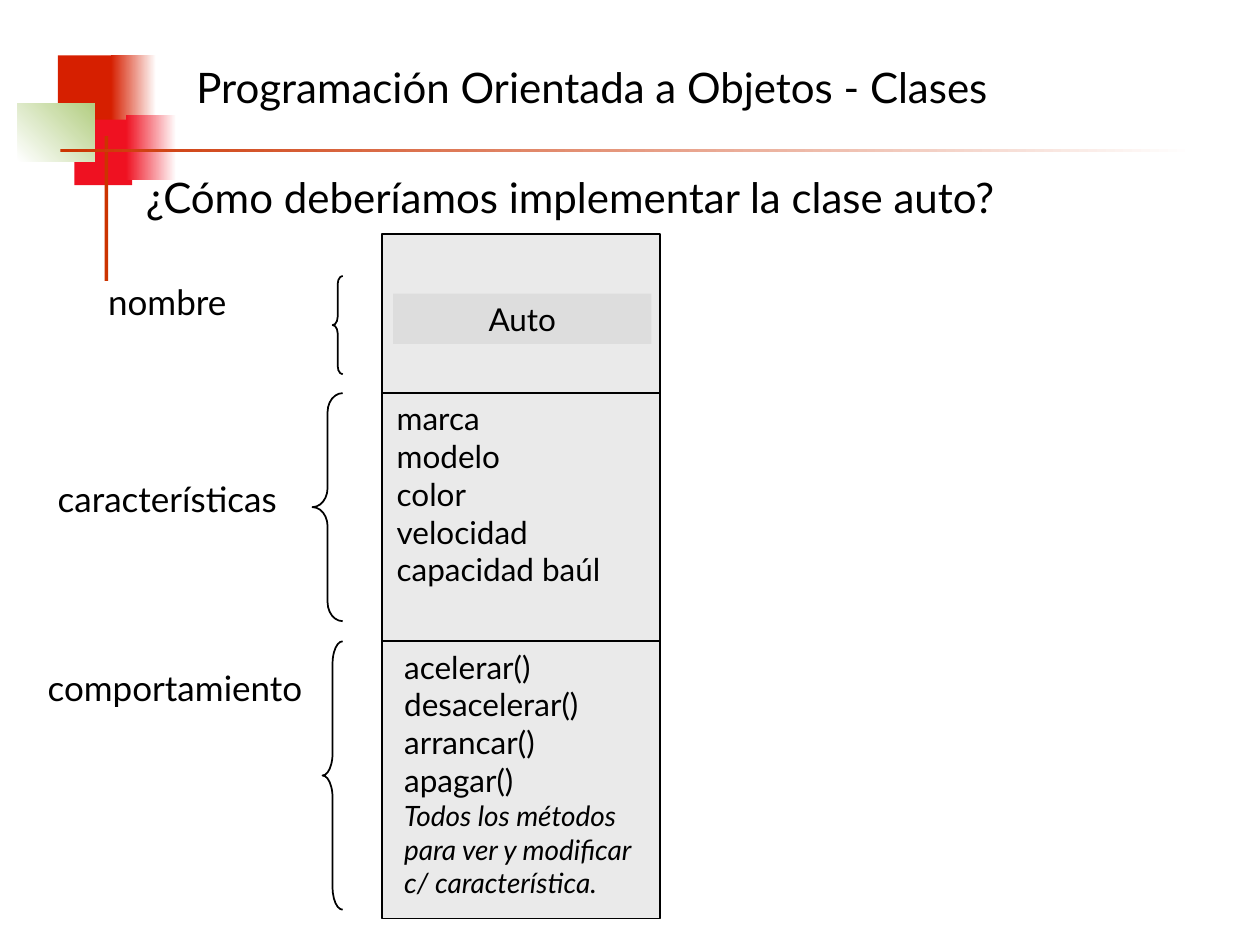
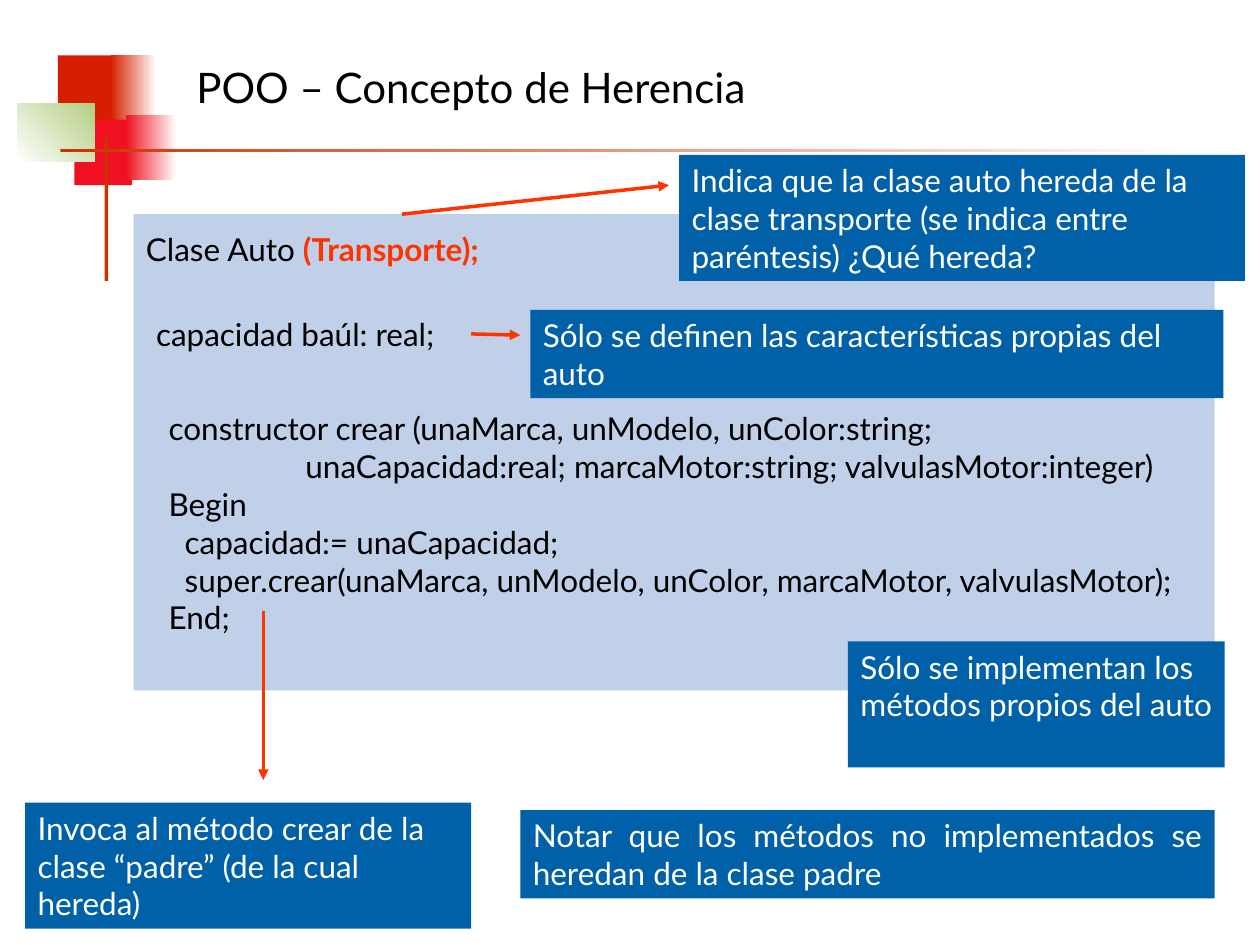
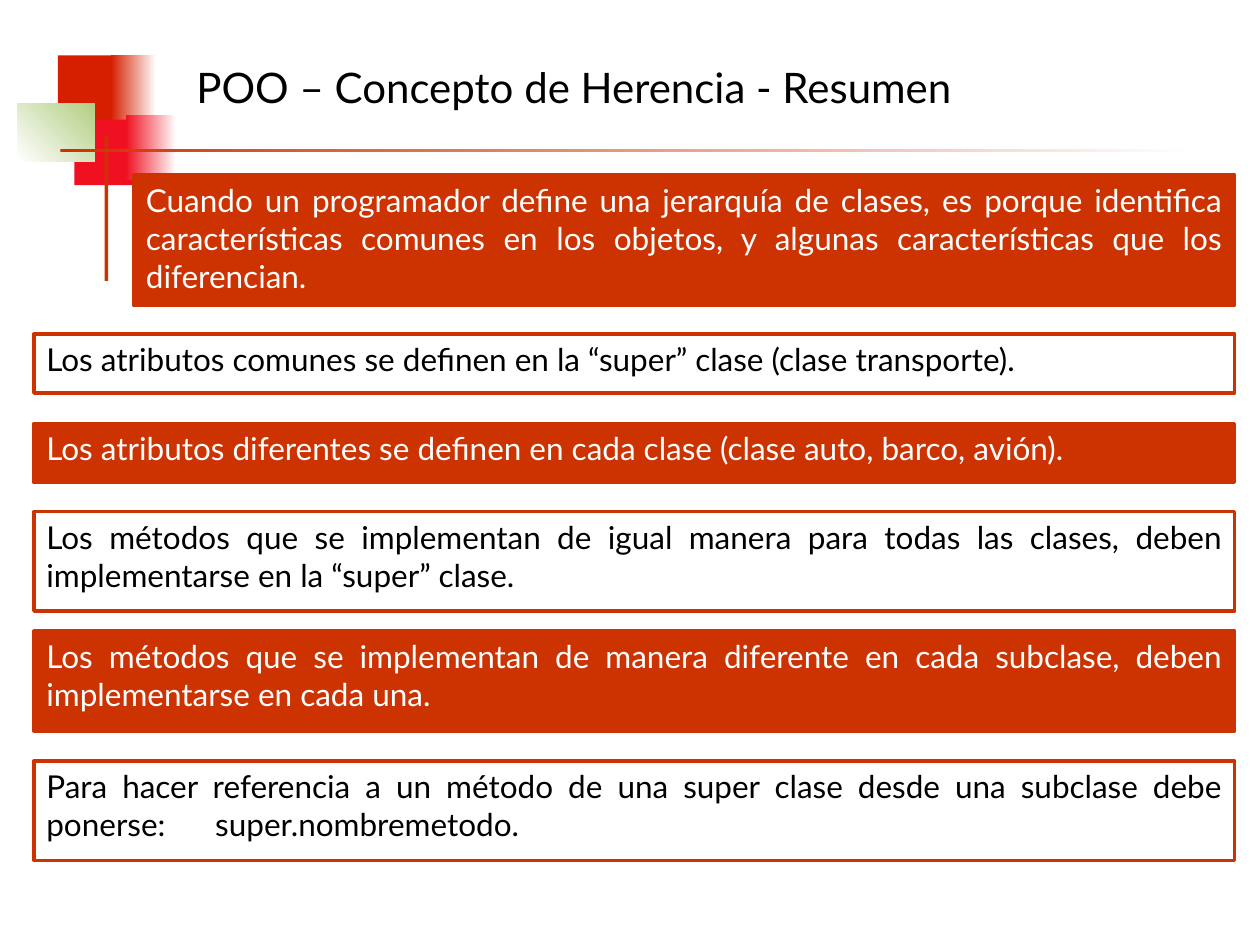
import dataclasses

import lxml.etree
import pptx
import pptx.dml.color
import pptx.enum.shapes
import pptx.enum.text
import pptx.oxml.ns
import pptx.util

SHAPE = pptx.enum.shapes.MSO_SHAPE
ALIGN = pptx.enum.text.PP_ALIGN
FONT = "Lato"
BLACK, WHITE = "000000", "FFFFFF"
SCARLET, CRIMSON, GREEN, RUST = "D61F00", "EF1121", "B3CE82", "CC3300"
ORANGE, BLUE, PALE_BLUE = "FF3300", "0060A8", "C1D0E9"
PALE_GRAY, GRAY = "EAEAEA", "DDDDDD"
COLUMNS, ROWS = 100, 75
CELL = pptx.util.Inches(10) / COLUMNS


@dataclasses.dataclass
class Box:
    left: float
    top: float
    width: float
    height: float

    def inner(self, left, top, width, height):
        return Box(self.left + left, self.top + top, width, height)

    def lengths(self):
        return [grid(value) for value in dataclasses.astuple(self)]


def grid(cells):
    return pptx.util.Emu(round(cells * CELL))


def rgb(color):
    return pptx.dml.color.RGBColor.from_string(color)


def add_shape(slide, box, fill=None, line=None, line_width=1, preset=SHAPE.RECTANGLE):
    shape = slide.shapes.add_shape(preset, *box.lengths())
    shape.shadow.inherit = False
    if fill:
        shape.fill.solid()
        shape.fill.fore_color.rgb = rgb(fill)
    else:
        shape.fill.background()
    if line:
        shape.line.color.rgb = rgb(line)
        shape.line.width = pptx.util.Pt(line_width)
    else:
        shape.line.fill.background()
    return shape


def add_fade(slide, box, start, end, angle=0):
    shape = add_shape(slide, box)
    shape.fill.gradient()
    shape.fill.gradient_angle = angle
    for stop, color in zip(shape.fill.gradient_stops, (start, end)):
        stop.color.rgb = rgb(color)
    return shape


def add_line(slide, start, end, color, width, arrow=False):
    points = [grid(value) for value in (*start, *end)]
    connector = slide.shapes.add_connector(
        pptx.enum.shapes.MSO_CONNECTOR.STRAIGHT, *points)
    connector.line.color.rgb = rgb(color)
    connector.line.width = pptx.util.Pt(width)
    properties = connector._element.spPr
    if arrow:
        tail = lxml.etree.SubElement(
            properties.find(pptx.oxml.ns.qn("a:ln")), pptx.oxml.ns.qn("a:tailEnd"))
        tail.set("type", "triangle")
    lxml.etree.SubElement(properties, pptx.oxml.ns.qn("a:effectLst"))


def write(shape, lines, size=18, color=BLACK, align=ALIGN.LEFT):
    frame = shape.text_frame
    frame.word_wrap = True
    frame.vertical_anchor = pptx.enum.text.MSO_ANCHOR.TOP
    for index, line in enumerate(lines):
        paragraph = frame.add_paragraph() if index else frame.paragraphs[0]
        paragraph.text = line
        paragraph.alignment = align
        paragraph.font.name = FONT
        paragraph.font.size = pptx.util.Pt(size)
        paragraph.font.color.rgb = rgb(color)
    return frame.paragraphs


def add_text(slide, box, lines, size=18):
    return write(slide.shapes.add_textbox(*box.lengths()), lines, size)


def add_decoration(slide, box):
    shapes = [
        add_shape(slide, box.inner(3.2, 0, 4.8, 5.2), SCARLET),
        add_fade(slide, box.inner(7.4, 0, 3.6, 5.2), SCARLET, WHITE),
        add_shape(slide, box.inner(4.5, 5.1, 4.6, 5.2), CRIMSON),
        add_fade(slide, box.inner(8.6, 4.7, 4, 5.2), CRIMSON, WHITE),
        add_fade(slide, box.inner(0, 3.8, 6.1, 4.6), WHITE, GREEN, 45),
        add_shape(slide, box.inner(6.9, 6.4, 0.3, 11.5), RUST),
        add_fade(slide, box.inner(3.4, 7.4, 90, 0.3), RUST, WHITE),
    ]
    for shape in shapes:
        slide.slide_layout.shapes.element.append(shape.element)


def add_titled_slide(presentation, title):
    slide = presentation.slides.add_slide(presentation.slide_layouts[6])
    add_text(slide, Box(14.6, 4.4, 73.2, 5), [title], 24)
    return slide


def add_class_diagram(slide, box):
    attributes_top, methods_top = 12.6, 32.3
    add_shape(slide, box, PALE_GRAY, BLACK)
    for top in (attributes_top, methods_top):
        add_line(slide, (box.left, box.top + top),
                 (box.left + box.width, box.top + top), BLACK, 1)
    name = add_shape(slide, box.inner(0.9, 4.7, 20.5, 4), GRAY)
    write(name, ["Auto"], align=ALIGN.CENTER)
    add_text(slide, box.inner(0.2, attributes_top, 19.6, 16),
             ["marca", "modelo", "color", "velocidad", "capacidad baúl"])
    methods = add_text(
        slide, box.inner(0.8, methods_top, 22, 21),
        ["acelerar()", "desacelerar()", "arrancar()", "apagar()",
         "Todos los métodos para ver y modificar c/ característica."])
    methods[-1].font.size = pptx.util.Pt(16)
    methods[-1].font.italic = True

    sections = [
        ("nombre", Box(-22.7, 3.2, 12.4, 4.4), 3.3, 0.8, 7.8),
        ("características", Box(-26.7, 18.8, 20.6, 4.4), attributes_top, 2.4, 18.1),
        ("comportamiento", Box(-27.5, 33.8, 24, 4.4), methods_top, 1.6, 21.3),
    ]
    for label, place, top, width, height in sections:
        brace = add_shape(slide, box.inner(-3.1 - width, top, width, height),
                          line=BLACK, preset=SHAPE.LEFT_BRACE)
        brace.adjustments[0] = height / width / 12
        add_text(slide, box.inner(*dataclasses.astuple(place)), [label], 20)


def add_code_panel(slide, box):
    add_shape(slide, box, PALE_BLUE)
    heading = add_text(slide, box.inner(0, 0.8, 31.3, 4), ["Clase Auto "])[0]
    parent = heading.add_run()
    parent.text = "(Transporte);"
    parent.font.bold = True
    parent.font.color.rgb = rgb(ORANGE)
    add_text(slide, box.inner(0.8, 7.5, 26, 7), ["capacidad baúl: real;"])
    add_text(slide, box.inner(1.8, 15, 84, 25), [
        "constructor crear (unaMarca, unModelo, unColor:string;",
        "                 unaCapacidad:real; marcaMotor:string; valvulasMotor:integer)",
        "Begin",
        "  capacidad:= unaCapacidad;",
        "  super.crear(unaMarca, unModelo, unColor, marcaMotor, valvulasMotor);",
        "End;",
    ])


def add_callouts(slide):
    callouts = [
        (Box(53.9, 12.3, 44.9, 10), ALIGN.LEFT,
         "Indica que la clase auto hereda de la clase transporte "
         "(se indica entre paréntesis) ¿Qué hereda?"),
        (Box(42.1, 24.6, 55, 7), ALIGN.LEFT,
         "Sólo se definen las características propias del auto"),
        (Box(67.3, 50.9, 29.9, 10), ALIGN.LEFT,
         "Sólo se implementan los métodos propios del auto"),
        (Box(2, 63.7, 35.4, 10), ALIGN.LEFT,
         "Invoca al método crear de la clase “padre” (de la cual hereda)"),
        (Box(41.3, 64.3, 55.1, 7), ALIGN.JUSTIFY,
         "Notar que los métodos no implementados se heredan de la clase padre"),
    ]
    for box, align, text in callouts:
        write(add_shape(slide, box, BLUE), [text], color=WHITE, align=align)
    arrows = [((31.9, 17), (53.1, 14.7)), ((37.4, 26.5), (41.3, 26.6)),
              ((20.9, 48.5), (20.9, 61.9))]
    for start, end in arrows:
        add_line(slide, start, end, ORANGE, 2, arrow=True)


def add_summary(slide, box):
    statements = [
        (7.9, 0, 10.3, "Cuando un programador define una jerarquía de clases, es porque "
         "identifica características comunes en los objetos, y algunas "
         "características que los diferencian."),
        (0, 12.6, 4.7, "Los atributos comunes se definen en la “super” clase "
         "(clase transporte)."),
        (0, 19.7, 4.7, "Los atributos diferentes se definen en cada clase "
         "(clase auto, barco, avión)."),
        (0, 26.7, 7.9, "Los métodos que se implementan de igual manera para todas "
         "las clases, deben implementarse en la “super” clase."),
        (0, 36.2, 7.9, "Los métodos que se implementan de manera diferente en cada "
         "subclase, deben implementarse en cada una."),
        (0, 46.5, 7.9, "Para hacer referencia a un método de una super clase desde "
         "una subclase debe ponerse:\tsuper.nombremetodo."),
    ]
    for index, (indent, top, height, text) in enumerate(statements):
        fill, color = (WHITE, BLACK) if index % 2 else (RUST, WHITE)
        place = box.inner(indent, top, box.width - indent, height)
        shape = add_shape(slide, place, fill, RUST, 2)
        if "\t" in text:
            add_tab_stop(shape.text_frame.paragraphs[0], 13.4)
        write(shape, [text], color=color, align=ALIGN.JUSTIFY)


def add_tab_stop(paragraph, position):
    properties = paragraph._p.get_or_add_pPr()
    stops = lxml.etree.SubElement(properties, pptx.oxml.ns.qn("a:tabLst"))
    stop = lxml.etree.SubElement(stops, pptx.oxml.ns.qn("a:tab"))
    stop.set("pos", str(grid(position)))
    stop.set("algn", "l")


def main():
    presentation = pptx.Presentation()
    presentation.slide_width = grid(COLUMNS)
    presentation.slide_height = grid(ROWS)

    classes = add_titled_slide(presentation, "Programación Orientada a Objetos - Clases")
    add_decoration(classes, Box(1.4, 4.4, 93.4, 17.9))
    add_class_diagram(classes, Box(30.3, 18.6, 22.1, 54.3))
    add_text(classes, Box(10.6, 13.1, 75.1, 5),
             ["¿Cómo deberíamos implementar la clase auto?"], 24)

    inheritance = add_titled_slide(presentation, "POO – Concepto de Herencia")
    add_code_panel(inheritance, Box(10.6, 17, 85.8, 37.8))
    add_callouts(inheritance)

    summary = add_titled_slide(presentation, "POO – Concepto de Herencia - Resumen")
    add_summary(summary, Box(2.7, 13.9, 95.3, 54.4))

    presentation.save("out.pptx")


if __name__ == "__main__":
    main()
